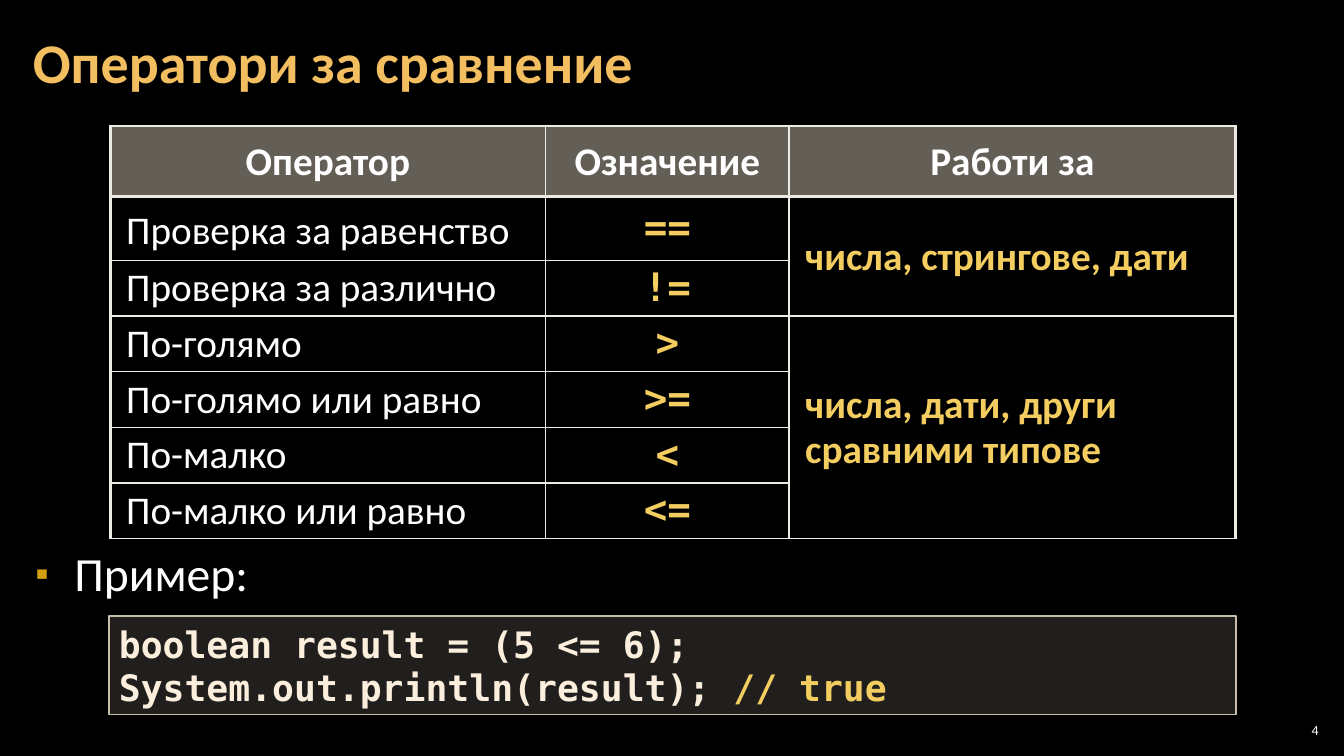
from lxml import etree
from pptx import Presentation
from pptx import util as u
from pptx.dml.color import RGBColor
from pptx.enum import shapes, text
from pptx.oxml.ns import qn

SANS, MONO = "Calibri", "DejaVu Sans Mono"
WHITE, GOLD, CREAM, SAND, RULE = "FFFFFF", "F3CD60", "FBEEDC", "C7BFAC", "ECEAE3"
LEFT, CENTER, RIGHT = text.PP_ALIGN.LEFT, text.PP_ALIGN.CENTER, text.PP_ALIGN.RIGHT
MIDDLE = text.MSO_ANCHOR.MIDDLE

HEADINGS = ["Оператор", "Означение", "Работи за"]
OPERATORS = [
    ("Проверка за равенство", "=="),
    ("Проверка за различно", "!="),
    ("По-голямо", ">"),
    ("По-голямо или равно", ">="),
    ("По-малко", "<"),
    ("По-малко или равно", "<="),
]
TYPE_GROUPS = [
    (1, 2, "числа, стрингове, дати"),
    (3, 6, "числа, дати, други сравними типове"),
]
COLUMN_WIDTHS = [311, 174, 319]
ROW_HEIGHTS = [50.6, 45.4] + [39.2] * 5


def color(value):
    return RGBColor.from_string(value)


def apply(target, values):
    for name, value in values.items():
        setattr(target, name, value)


def add_xml(parent, tag, **attributes):
    return etree.SubElement(parent, qn(tag), attributes)


def place(item, left, top, width, height):
    apply(item, {"left": u.Pt(left), "top": u.Pt(top),
                 "width": u.Pt(width), "height": u.Pt(height)})


def fill_solid(item, properties, value, percent):
    item.fill.solid()
    item.fill.fore_color.rgb = color(value)
    tint = properties.find(qn("a:solidFill"))[0]
    add_xml(tint, "a:alpha", val=str(percent * 1000))


def add_span(para, content, size, tone, bold=False, face=SANS):
    span = para.add_run()
    span.text = content
    apply(span.font, {"size": u.Pt(size), "bold": bold, "name": face})
    span.font.color.rgb = color(tone)


def write(frame, content, size, tone, bold=False, face=SANS, **layout):
    para = frame.paragraphs[0]
    apply(para, layout)
    add_span(para, content, size, tone, bold, face)
    return para


def set_title(page):
    title = page.shapes.title
    place(title, 15, 3, 754, 87)
    frame = title.text_frame
    apply(frame, {"vertical_anchor": MIDDLE, "auto_size": text.MSO_AUTO_SIZE.NONE,
                  "margin_left": u.Pt(8.5), "margin_right": u.Pt(8.5),
                  "margin_top": u.Pt(3), "margin_bottom": u.Pt(3)})
    write(frame, "Оператори за сравнение", 40, "F3BE60", True,
          alignment=LEFT, line_spacing=0.9)


def set_bullet(page):
    body = page.placeholders[1]
    place(body, 18, 388, 684, 54)
    body.text_frame.auto_size = text.MSO_AUTO_SIZE.NONE
    para = write(body.text_frame, "Пример:", 34, WHITE, line_spacing=u.Pt(38),
                 space_before=u.Pt(6), space_after=u.Pt(6))
    properties = para._p.get_or_add_pPr()
    properties.set("marL", str(u.Pt(28)))
    properties.set("indent", str(-u.Pt(28)))
    add_xml(add_xml(properties, "a:buClr"), "a:srgbClr", val="D2A010")
    add_xml(properties, "a:buSzPct", val="80000")
    add_xml(properties, "a:buChar", char="▪")


def set_borders(cell, row, column):
    heavy = {"L": column != 1, "R": column > 0, "T": row < 2, "B": row == 0}
    properties = cell._tc.get_or_add_tcPr()
    for side, thick in heavy.items():
        line = add_xml(properties, "a:ln" + side, w=str(u.Pt(2.25 if thick else 1)))
        add_xml(add_xml(line, "a:solidFill"), "a:srgbClr", val=RULE)


def fill_cell(cell, content, tone, bold, face=SANS, align=LEFT, spacing=0.95):
    write(cell.text_frame, content, 28, tone, bold, face,
          alignment=align, line_spacing=spacing)


def format_cell(cell, row, column):
    apply(cell, {"vertical_anchor": MIDDLE,
                 "margin_left": u.Pt(11.5), "margin_right": u.Pt(11.5),
                 "margin_top": u.Pt(3.6), "margin_bottom": u.Pt(3.6)})
    set_borders(cell, row, column)
    if row == 0:
        fill_solid(cell, cell._tc.tcPr, SAND, 50)
    else:
        cell.fill.background()


def add_operator_table(page):
    table = page.shapes.add_table(
        len(ROW_HEIGHTS), len(COLUMN_WIDTHS), u.Pt(78.7), u.Pt(90),
        u.Pt(sum(COLUMN_WIDTHS)), u.Pt(sum(ROW_HEIGHTS))).table
    table.horz_banding = False
    for column, width in zip(table.columns, COLUMN_WIDTHS):
        column.width = u.Pt(width)
    for row, height in zip(table.rows, ROW_HEIGHTS):
        row.height = u.Pt(height)
    for row in range(len(ROW_HEIGHTS)):
        for column in range(len(COLUMN_WIDTHS)):
            format_cell(table.cell(row, column), row, column)
    for column, heading in enumerate(HEADINGS):
        fill_cell(table.cell(0, column), heading, WHITE, True, align=CENTER)
    for row, (meaning, sign) in enumerate(OPERATORS, 1):
        spacing = u.Pt(38) if row == 1 else 0.95
        fill_cell(table.cell(row, 0), meaning, WHITE, False, spacing=spacing)
        fill_cell(table.cell(row, 1), sign, GOLD, True, MONO, CENTER)
    for first, last, types in TYPE_GROUPS:
        table.cell(first, 2).merge(table.cell(last, 2))
        fill_cell(table.cell(first, 2), types, GOLD, True)


def add_code_box(page, lines):
    box = page.shapes.add_shape(shapes.MSO_SHAPE.RECTANGLE, u.Pt(77.8), u.Pt(440),
                                u.Pt(805), u.Pt(70.5))
    box.shadow.inherit = False
    fill_solid(box, box._element.spPr, "D9D5C7", 15)
    box.line.color.rgb = color(SAND)
    box.line.width = u.Pt(1)
    frame = box.text_frame
    apply(frame, {"word_wrap": True, "vertical_anchor": MIDDLE})
    for number, spans in enumerate(lines):
        para = frame.add_paragraph() if number else frame.paragraphs[0]
        para.alignment = LEFT
        for content, tone in spans:
            add_span(para, content, 26, tone, True, MONO)


def add_page_number(page, number):
    box = page.shapes.add_textbox(u.Pt(911), u.Pt(514), u.Pt(34), u.Pt(15))
    frame = box.text_frame
    apply(frame, {"word_wrap": True, "vertical_anchor": MIDDLE})
    for side in ("left", "top", "right", "bottom"):
        setattr(frame, "margin_" + side, u.Pt(3))
    write(frame, number, 10, WHITE, alignment=RIGHT)


def main():
    deck = Presentation()
    apply(deck, {"slide_width": u.Pt(960), "slide_height": u.Pt(540)})
    page = deck.slides.add_slide(deck.slide_layouts[1])
    page.background.fill.solid()
    page.background.fill.fore_color.rgb = color("000000")
    set_title(page)
    add_operator_table(page)
    set_bullet(page)
    add_code_box(page, [
        [("boolean result = (5 <= 6);", CREAM)],
        [("System.out.println(result); ", CREAM), ("// true", GOLD)],
    ])
    add_page_number(page, "4")
    deck.save("out.pptx")


if __name__ == "__main__":
    main()
